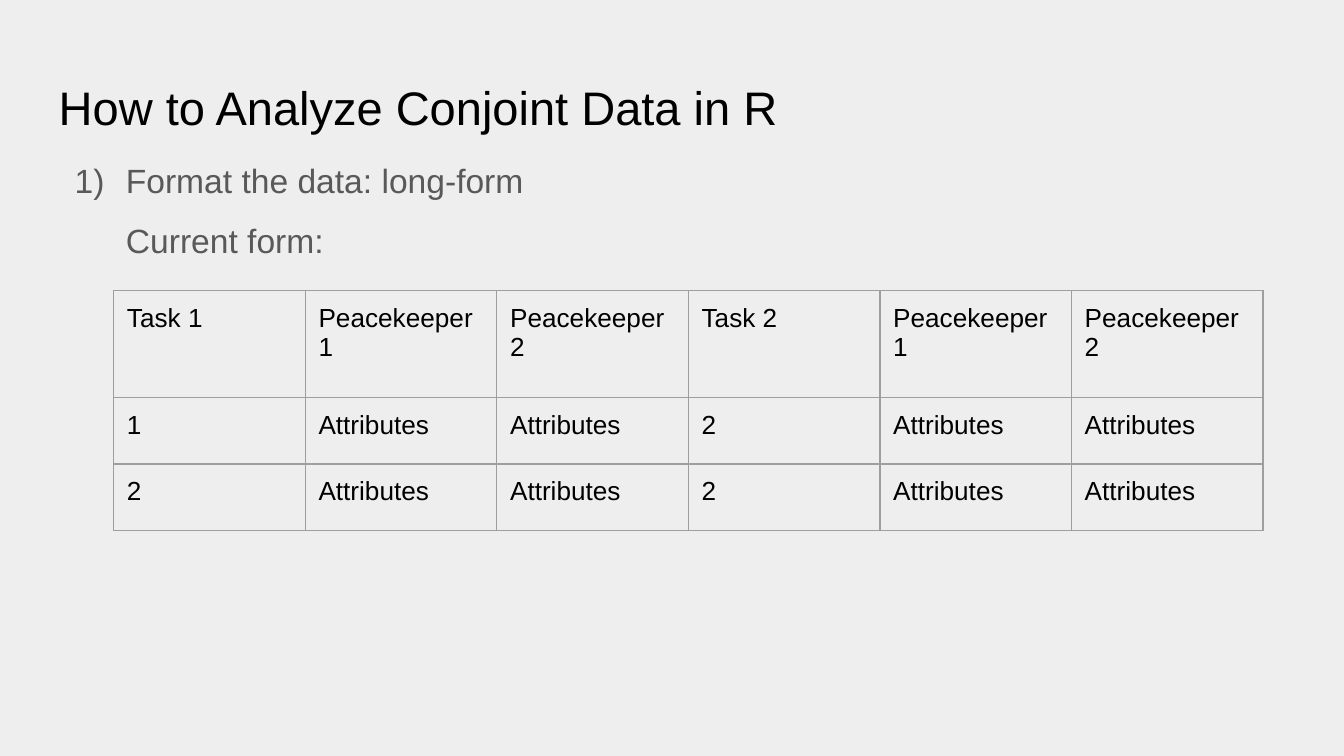
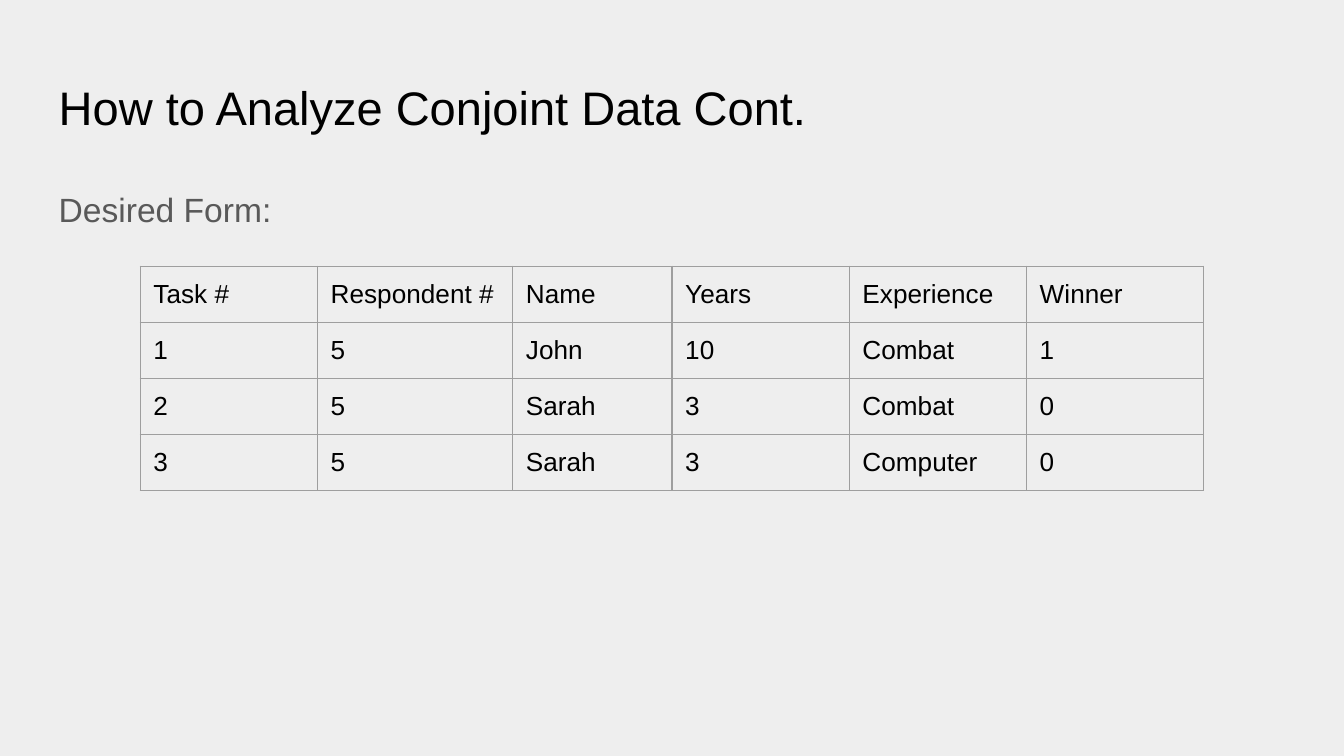
from lxml.etree import SubElement
from pptx import Presentation
from pptx.dml.color import RGBColor
from pptx.enum.text import MSO_ANCHOR as Anchor, MSO_AUTO_SIZE as Auto, PP_ALIGN as Align
from pptx.oxml.ns import qn
from pptx.util import Cm, Pt

FONT = "Arial"
PAPER, INK, GRAY, RULE = "EEEEEE", "000000", "595959", "9E9E9E"
LEFT, WIDTH, PAD = 0.86, 23.67, 0.25
ATTR = "Attributes"
KEEPERS = ["Peacekeeper 1", "Peacekeeper 2"]

SLIDES = [
    dict(
        title="How to Analyze Conjoint Data in R",
        top=2.82,
        body=[
            ("Format the data: long-form",
             dict(line=0.95, left=1.27, hang=0.97, number=True)),
            ("Current form:", dict(line=0.95, left=1.27, before=12)),
        ],
        at=(2.15, 5.49),
        cols=[3.62] * 6,
        rows=[2.02, 1.26, 1.26],
        cells=[
            ["Task 1", *KEEPERS, "Task 2", *KEEPERS],
            ["1", ATTR, ATTR, "2", ATTR, ATTR],
            ["2", ATTR, ATTR, "2", ATTR, ATTR],
        ],
    ),
    dict(
        title="How to Analyze Conjoint Data Cont.",
        top=3.2,
        body=[("Desired Form:", dict(line=1.15))],
        at=(2.65, 5.03),
        cols=[3.35, 3.69, 3.01, 3.35, 3.35, 3.35],
        rows=[1.06] * 4,
        cells=[
            ["Task #", "Respondent #", "Name", "Years", "Experience", "Winner"],
            ["1", "5", "John", "10", "Combat", "1"],
            ["2", "5", "Sarah", "3", "Combat", "0"],
            ["3", "5", "Sarah", "3", "Computer", "0"],
        ],
    ),
]


def color(code):
    """Turn a hex string into a colour."""
    return RGBColor.from_string(code)


def write(para, text, size=14, ink=INK, line=1.0, before=0, left=0, hang=0, number=False):
    """Put formatted text into a paragraph."""
    run = para.add_run()
    run.text = text
    run.font.name, run.font.size = FONT, Pt(size)
    run.font.color.rgb = color(ink)
    para.alignment = Align.LEFT
    para.line_spacing = line
    para.space_before, para.space_after = Pt(before), Pt(0)
    props = para._p.get_or_add_pPr()
    props.set("marL", str(Cm(left)))
    props.set("indent", str(-Cm(hang)))
    if number:
        tint = SubElement(props, qn("a:buClr"))
        SubElement(tint, qn("a:srgbClr"), val=ink)
        SubElement(props, qn("a:buFont"), typeface=FONT)
        SubElement(props, qn("a:buAutoNum"), type="arabicParenR")
    else:
        SubElement(props, qn("a:buNone"))


def pad(box):
    """Give a text frame or a cell equal margins."""
    box.margin_left = box.margin_right = Cm(PAD)
    box.margin_top = box.margin_bottom = Cm(PAD)


def place(shape, top, high):
    """Move a placeholder and return its text frame."""
    shape.left, shape.top = Cm(LEFT), Cm(top)
    shape.width, shape.height = Cm(WIDTH), Cm(high)
    frame = shape.text_frame
    frame.auto_size, frame.word_wrap = Auto.NONE, True
    frame.vertical_anchor = Anchor.TOP
    pad(frame)
    return frame


def border(cell):
    """Draw the four thin rules of a cell."""
    props = cell._tc.get_or_add_tcPr()
    for pos, side in enumerate("LRTB"):
        rule = SubElement(props, qn("a:ln" + side), w=str(Pt(0.75)))
        fill = SubElement(rule, qn("a:solidFill"))
        SubElement(fill, qn("a:srgbClr"), val=RULE)
        props.insert(pos, rule)


def grid(slide, at, cols, rows, cells):
    """Add a ruled table without fill."""
    x, y = at
    table = slide.shapes.add_table(
        len(rows), len(cols), Cm(x), Cm(y), Cm(sum(cols)), Cm(sum(rows))).table
    table.first_row = table.horz_banding = False
    for col, wide in zip(table.columns, cols):
        col.width = Cm(wide)
    for row, high, texts in zip(table.rows, rows, cells):
        row.height = Cm(high)
        for cell, text in zip(row.cells, texts):
            pad(cell)
            cell.fill.background()
            border(cell)
            write(cell.text_frame.paragraphs[0], text)


def build(deck, item):
    """Add one slide with title, body and table."""
    slide = deck.slides.add_slide(deck.slide_layouts[1])
    title, body = slide.placeholders
    write(place(title, 1.24, 1.59).paragraphs[0], item["title"], size=25.2)
    frame = place(body, item["top"], 9.49)
    for pos, (text, style) in enumerate(item["body"]):
        para = frame.add_paragraph() if pos else frame.paragraphs[0]
        write(para, text, size=18, ink=GRAY, **style)
    grid(slide, item["at"], item["cols"], item["rows"], item["cells"])


deck = Presentation()
deck.slide_width, deck.slide_height = Cm(25.4), Cm(14.29)
paper = deck.slide_master.background.fill
paper.solid()
paper.fore_color.rgb = color(PAPER)
for item in SLIDES:
    build(deck, item)
deck.save("out.pptx")
